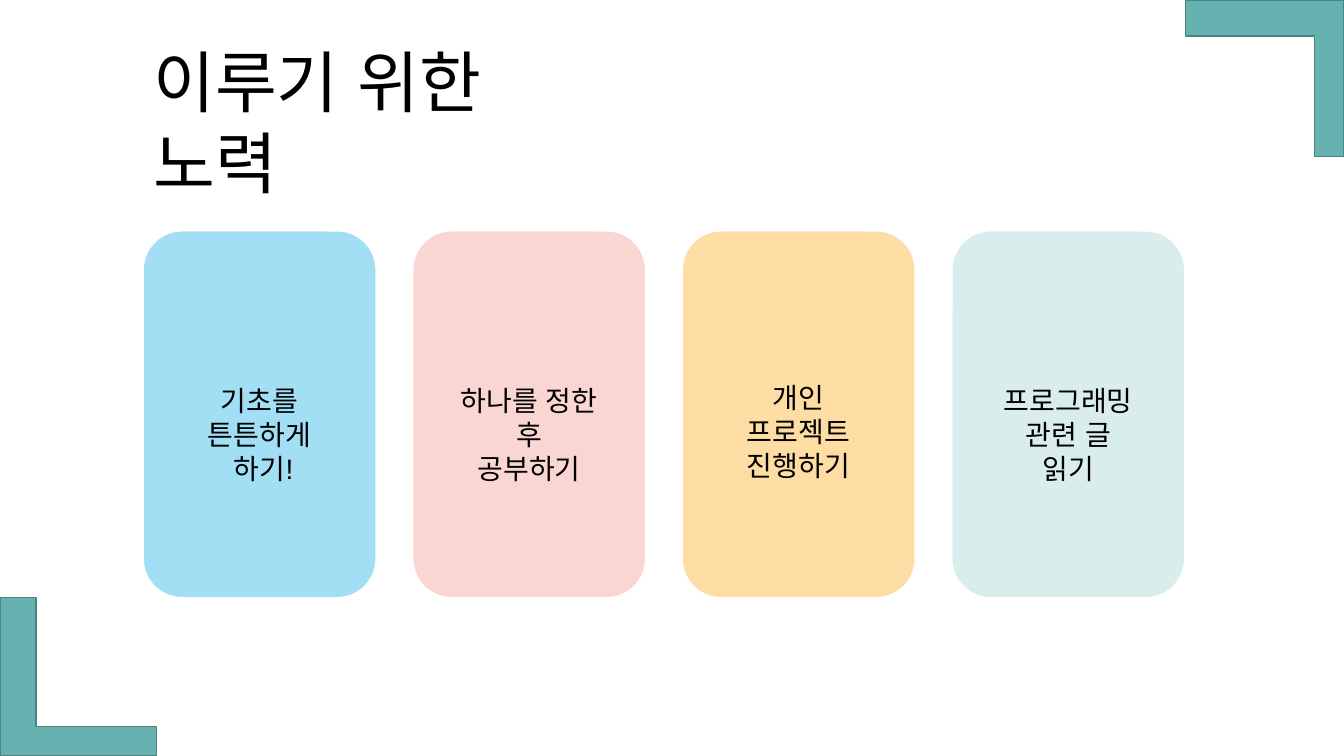
import pptx
import pptx.dml.color
import pptx.enum.shapes
import pptx.enum.text
import pptx.oxml.ns
import pptx.util
from lxml import etree

Inches = pptx.util.Inches
SHAPES = pptx.enum.shapes.MSO_SHAPE
ALIGN = pptx.enum.text.PP_ALIGN
COLORS = {
    "teal": "66B2B0", "teal_edge": "4B8482", "text": "000000", "white": "FFFFFF",
    "blue": "A2DEF4", "pink": "FAD6D3", "yellow": "FDDDA3", "mint": "D9EDEC",
}
EFFORTS = [
    ("blue", ["기초를 튼튼하게", " 하기!"], 1.88, 1.47),
    ("pink", ["하나를 정한 후", "공부하기"], 1.73, 1.47),
    ("yellow", ["개인 프로젝트", "진행하기"], 1.65, 1.44),
    ("mint", ["프로그래밍", "관련 글 읽기"], 1.5, 1.47),
]


def rgb(name):
    """Return the named colour."""
    return pptx.dml.color.RGBColor.from_string(COLORS[name])


def paint(shape, fill, edge):
    """Give a shape its fill and outline, without a shadow."""
    shape.shadow.inherit = False
    shape.fill.solid()
    shape.fill.fore_color.rgb = rgb(fill)
    shape.line.color.rgb = rgb(edge)
    shape.line.width = pptx.util.Pt(1)


def write(frame, lines, size, align):
    """Fill a text frame with wrapped, top-aligned lines."""
    frame.text = "\n".join(lines)
    frame.word_wrap = True
    frame.auto_size = pptx.enum.text.MSO_AUTO_SIZE.SHAPE_TO_FIT_TEXT
    frame.vertical_anchor = pptx.enum.text.MSO_ANCHOR.TOP
    for paragraph in frame.paragraphs:
        paragraph.alignment = align
        for run in paragraph.runs:
            run.font.size = pptx.util.Pt(size)
            run.font.name = "Arial"
            run.font.color.rgb = rgb("text")
            east_asian = etree.SubElement(run.font._element, pptx.oxml.ns.qn("a:ea"))
            east_asian.set("typeface", "Arial")


def add_corner(slide, left, top, width, height, thick, thin, rotation):
    """Draw an L-shaped corner ornament in the given box."""
    corner = slide.shapes.add_shape(
        SHAPES.CORNER, Inches(left), Inches(top), Inches(width), Inches(height))
    corner.adjustments[0], corner.adjustments[1] = thick, thin
    corner.rotation = rotation
    paint(corner, "teal", "teal_edge")


def add_title(slide, left, top, width, height):
    """Place the heading in the given box."""
    title = slide.shapes.title
    title.left, title.top = Inches(left), Inches(top)
    title.width, title.height = Inches(width), Inches(height)
    write(title.text_frame, ["이루기 위한 노력"], 48, ALIGN.LEFT)


def add_card(slide, left, top, width, height, effort):
    """Draw one rounded card with its centred caption."""
    color, lines, caption_width, caption_offset = effort
    group = slide.shapes.add_group_shape()
    card = group.shapes.add_shape(
        SHAPES.ROUNDED_RECTANGLE, Inches(left), Inches(top), Inches(width), Inches(height))
    paint(card, color, "white")
    caption = group.shapes.add_textbox(
        Inches(left + (width - caption_width) / 2), Inches(top + caption_offset),
        Inches(caption_width), Inches(0.77))
    write(caption.text_frame, lines, 20, ALIGN.CENTER)


def add_cards(slide, left, top, width, height):
    """Spread the cards evenly across the given box."""
    card_width = 2.31
    pitch = (width - card_width) / (len(EFFORTS) - 1)
    for index, effort in enumerate(EFFORTS):
        add_card(slide, left + index * pitch, top, card_width, height, effort)


def main():
    """Build and save the slide."""
    deck = pptx.Presentation()
    deck.slide_width, deck.slide_height = Inches(13.33), Inches(7.5)
    slide = deck.slides.add_slide(deck.slide_layouts[5])
    add_corner(slide, 0, 5.93, 1.55, 1.57, 0.19, 0.23, 0)
    add_corner(slide, 11.76, 0, 1.57, 1.55, 0.23, 0.19, 180)
    add_title(slide, 1.42, 0.35, 4.47, 0.91)
    add_cards(slide, 1.42, 2.29, 10.33, 3.64)
    deck.save("out.pptx")


if __name__ == "__main__":
    main()
